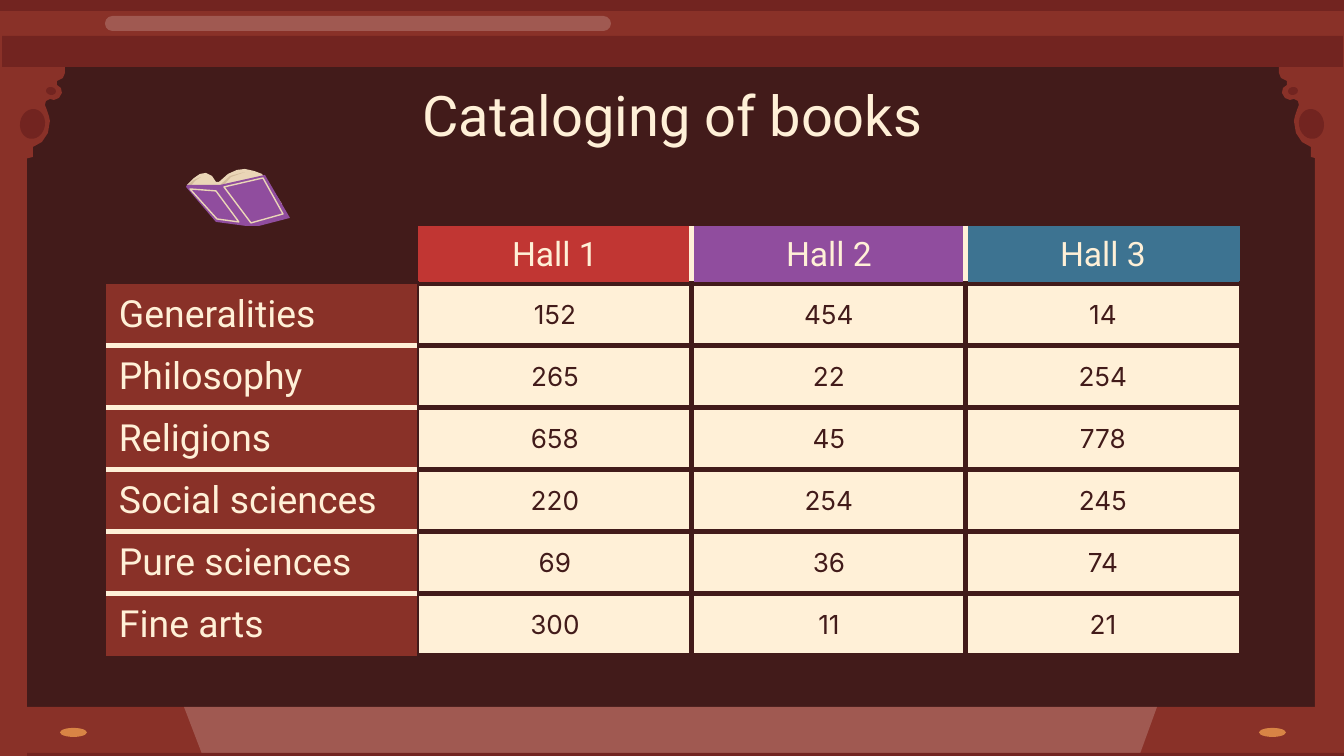
from lxml.etree import SubElement
from pptx import Presentation
from pptx.dml.color import RGBColor
from pptx.enum.shapes import MSO_SHAPE
from pptx.enum.text import MSO_ANCHOR, MSO_AUTO_SIZE, PP_ALIGN
from pptx.oxml.ns import qn
from pptx.util import Pt

SCALE = 914400 / 134.4
DARK, WOOD, BEAM, CREAM = "421B1A", "893128", "722420", "FFF0D7"
GOLD, PAPER, CREASE, PURPLE = "D88445", "EAD6B7", "D3BC9C", "904D9E"
SHEEN = "FFFCF7"

HALLS = [("Hall 1", "C13633"), ("Hall 2", PURPLE), ("Hall 3", "3D7391")]
CATALOG = [
    ("Generalities", 152, 454, 14),
    ("Philosophy", 265, 22, 254),
    ("Religions", 658, 45, 778),
    ("Social sciences", 220, 254, 245),
    ("Pure sciences", 69, 36, 74),
    ("Fine arts", 300, 11, 21),
]
BRACKET = [
    (65, 0), (65, 7), (63, 12), (57, 15), (57, 19), (61, 22), (62, 27), (59, 32),
    (54, 34), (50, 33), (46, 35), (45, 39), (47, 44), (49, 50), (50, 55), (48, 67),
    (42, 76), (33, 81), (33, 91), (25, 93), (20, 100), (18, 108), (20, 115),
    (27, 118), (27, 126), (0, 126), (0, 0),
]
PAGES = [
    (59, 0), (51, 1), (42, 5), (33, 13), (30, 13), (26, 7), (20, 4), (14, 5),
    (8, 9), (1, 16), (40, 40), (96, 35), (76, 5), (68, 2),
]
LEFT_CREASE = [(15, 8), (8, 11), (2, 16), (5, 17), (9, 12)]
RIGHT_CREASE = [(59, 3), (44, 7), (34, 16), (37, 17), (45, 8)]
COVER = [(79, 6), (34, 16), (1, 16), (0, 18), (30, 53), (60, 57), (73, 57), (104, 49)]
FRONT_TRIM = [(77, 9), (97, 45), (65, 54), (38, 18)]
BACK_TRIM = [(4, 20), (30, 22), (53, 53), (31, 50)]


def px(length):
    """Turn pixels into EMU."""
    return round(length * SCALE)


def rgb(value):
    """Turn a hex string into a colour."""
    return RGBColor.from_string(value)


def paint(shape, color, opacity=100):
    """Give a shape a plain fill without line or shadow."""
    shape.shadow.inherit = False
    shape.line.fill.background()
    shape.fill.solid()
    shape.fill.fore_color.rgb = rgb(color)
    if opacity < 100:
        tint = shape.fill._xPr.find(f".//{qn('a:srgbClr')}")
        SubElement(tint, qn("a:alpha"), val=str(opacity * 1000))
    return shape


def add_preset(slide, kind, box, color, opacity=100):
    """Add a filled preset shape in a pixel box."""
    return paint(slide.shapes.add_shape(kind, *map(px, box)), color, opacity)


def add_outline(slide, left, top, points, color, opacity=100):
    """Add a filled polygon with points relative to left and top."""
    builder = slide.shapes.build_freeform(*points[0], scale=SCALE)
    builder.add_line_segments(points[1:])
    return paint(builder.convert_to_shape(px(left), px(top)), color, opacity)


def add_trim(slide, left, top, points):
    """Add a thin line around one book cover."""
    trim = add_outline(slide, left, top, points, PURPLE)
    trim.fill.background()
    trim.line.color.rgb = rgb(PAPER)
    trim.line.width = Pt(0.75)


def add_stage(slide, width, height):
    """Build the wooden frame around the slide."""
    rect, oval = MSO_SHAPE.RECTANGLE, MSO_SHAPE.OVAL
    floor = 707
    add_preset(slide, rect, (0, floor, width, height - floor), WOOD)
    boards = [(184, 0), (202, 47), (1140, 47), (1157, 0)]
    add_outline(slide, 0, floor, boards, SHEEN, 20)
    add_preset(slide, rect, (0, 5, width, 38), WOOD)
    add_preset(slide, rect, (0, 0, width, 11), BEAM)
    pill = add_preset(slide, MSO_SHAPE.ROUNDED_RECTANGLE, (105, 16, 506, 15), SHEEN, 20)
    pill.adjustments[0] = 0.5
    add_preset(slide, rect, (0, 753, width, 3), BEAM)
    add_preset(slide, rect, (0, 36, 27, height - 36), WOOD)
    add_preset(slide, rect, (width - 29, 36, 29, floor - 28), WOOD)
    add_bracket(slide, 0, 66, 65, False)
    add_bracket(slide, width - 65, 66, 65, True)
    add_preset(slide, rect, (2, 36, width - 3, 31), BEAM)
    for left in (60, 1259):
        add_preset(slide, oval, (left, 728, 27, 9), GOLD)


def add_bracket(slide, left, top, width, mirrored):
    """Build a carved corner with its two knobs."""
    points = [(width - x if mirrored else x, y) for x, y in BRACKET]
    add_outline(slide, left, top, points, WOOD)
    for x, y, knob_width, knob_height in ((20, 43, 25, 30), (46, 21, 10, 8)):
        start = width - x - knob_width if mirrored else x
        box = (left + start, top + y, knob_width, knob_height)
        knob = add_preset(slide, MSO_SHAPE.OVAL, box, BEAM)
        knob.rotation = -10 if mirrored else 10


def add_book(slide, left, top):
    """Build the open book."""
    for points, color in (
        (PAGES, PAPER), (LEFT_CREASE, CREASE), (RIGHT_CREASE, CREASE), (COVER, PURPLE),
    ):
        add_outline(slide, left, top, points, color)
    for points in (FRONT_TRIM, BACK_TRIM):
        add_trim(slide, left, top, points)


def write(paragraph, text, size, font, color, align):
    """Write one formatted run."""
    paragraph.alignment = align
    run = paragraph.add_run()
    run.text = text
    run.font.size = Pt(size)
    run.font.name = font
    run.font.bold = False
    run.font.color.rgb = rgb(color)


def add_title(slide, box, text):
    """Place and format the title."""
    title = slide.shapes.title
    title.left, title.top, title.width, title.height = map(px, box)
    frame = title.text_frame
    frame.word_wrap = True
    frame.auto_size = MSO_AUTO_SIZE.NONE
    frame.vertical_anchor = MSO_ANCHOR.MIDDLE
    frame.margin_left = frame.margin_right = px(13)
    frame.margin_top = frame.margin_bottom = px(13)
    write(frame.paragraphs[0], text, 30, "Roboto", CREAM, PP_ALIGN.CENTER)


def set_borders(cell, edges):
    """Draw the given cell edges and clear the others."""
    properties = cell._tc.get_or_add_tcPr()
    for side in "LRTB":
        color, points = edges.get(side, (None, 0))
        line = SubElement(properties, qn(f"a:ln{side}"), w=str(Pt(points)))
        if color:
            fill = SubElement(line, qn("a:solidFill"))
            SubElement(fill, qn("a:srgbClr"), val=color)
        else:
            SubElement(line, qn("a:noFill"))


def fill_cell(cell, text, fill, edges, size, font, color, align=PP_ALIGN.CENTER):
    """Format one table cell and write its text."""
    set_borders(cell, edges)
    cell.fill.solid()
    cell.fill.fore_color.rgb = rgb(fill)
    cell.vertical_anchor = MSO_ANCHOR.MIDDLE
    cell.margin_left = cell.margin_right = px(13)
    cell.margin_top = cell.margin_bottom = px(9)
    write(cell.text_frame.paragraphs[0], text, size, font, color, align)


def add_catalog(slide, left, top):
    """Build the table of books per hall."""
    widths, heights = [312] + [274] * len(HALLS), [58] + [62] * len(CATALOG)
    box = (left, top, sum(widths), sum(heights))
    table = slide.shapes.add_table(len(heights), len(widths), *map(px, box)).table
    table.first_row = table.horz_banding = False
    for column, width in zip(table.columns, widths):
        column.width = px(width)
    for row, height in zip(table.rows, heights):
        row.height = px(height)
    thin, thick, light = (DARK, 1.5), (DARK, 3), (CREAM, 3)

    set_borders(table.cell(0, 0), {})
    table.cell(0, 0).fill.background()
    for col, (hall, color) in enumerate(HALLS, 1):
        edges = {"B": thick}
        if col > 1:
            edges["L"] = light
        if col < len(HALLS):
            edges["R"] = light
        fill_cell(table.cell(0, col), hall, color, edges, 18, "Roboto", CREAM)
    for row, (subject, *counts) in enumerate(CATALOG, 1):
        edges = {"R": thin}
        if row > 1:
            edges["T"] = light
        if row < len(CATALOG):
            edges["B"] = light
        fill_cell(table.cell(row, 0), subject, WOOD, edges, 20, "Roboto", CREAM, PP_ALIGN.LEFT)
        for col, count in enumerate(counts, 1):
            edges = {
                "L": thin if col == 1 else thick,
                "R": thin if col == len(counts) else thick,
                "T": thick, "B": thick,
            }
            fill_cell(table.cell(row, col), str(count), CREAM, edges, 14, "Inter", DARK)


def main():
    """Build and save the slide."""
    deck = Presentation()
    deck.slide_width, deck.slide_height = px(1344), px(756)
    slide = deck.slides.add_slide(deck.slide_layouts[5])
    slide.background.fill.solid()
    slide.background.fill.fore_color.rgb = rgb(DARK)
    add_stage(slide, 1344, 756)
    add_title(slide, (106, 79, 1133, 70), "Cataloging of books")
    add_catalog(slide, 106, 226)
    add_book(slide, 186, 169)
    deck.save("out.pptx")


if __name__ == "__main__":
    main()
